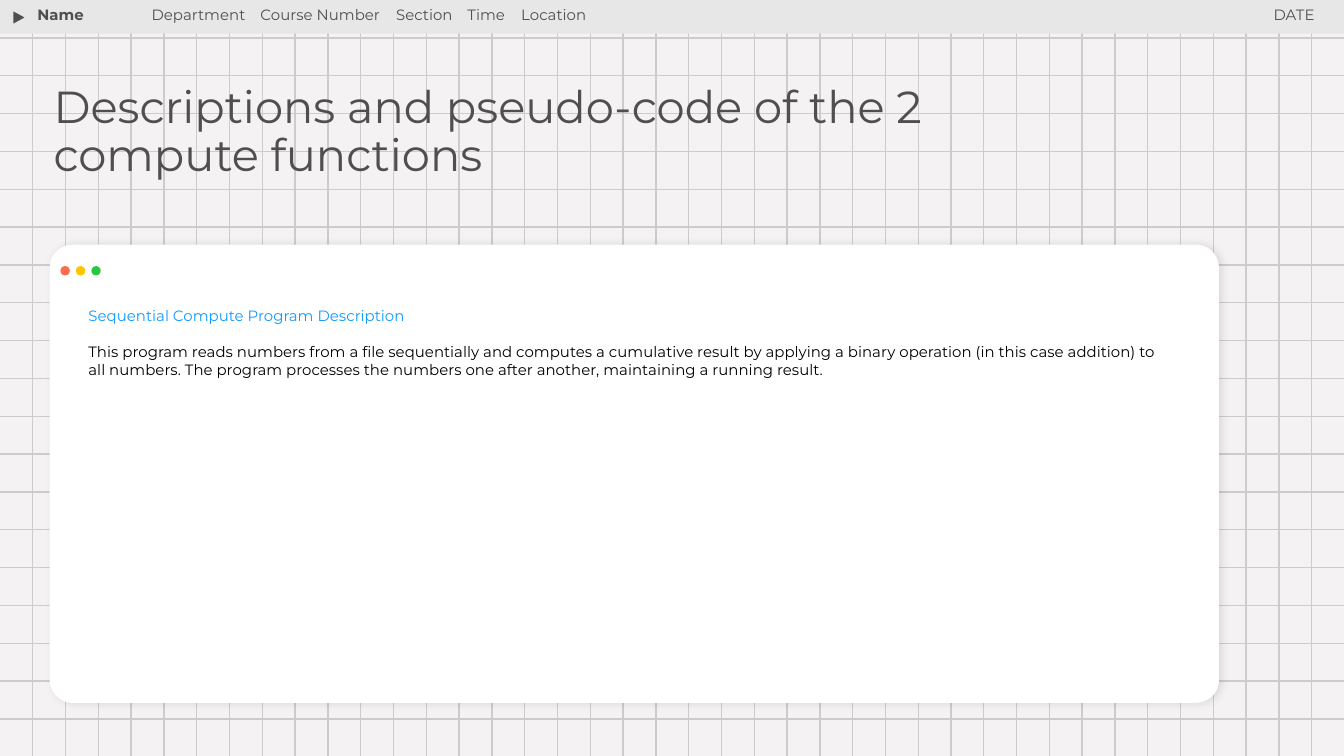
from dataclasses import dataclass

from lxml import etree
from pptx import Presentation, util as u
from pptx.dml.color import RGBColor
from pptx.enum import shapes, text
from pptx.oxml import ns
from pptx.shapes.autoshape import Shape
from pptx.slide import Slide

PAPER = RGBColor(0xF4, 0xF2, 0xF2)
GRID = RGBColor(0xCC, 0xCC, 0xCC)
BAR = RGBColor(0xE7, 0xE7, 0xE7)
INK = RGBColor(0x4F, 0x4F, 0x4F)
WHITE = RGBColor(0xFF, 0xFF, 0xFF)
BLACK = RGBColor(0x00, 0x00, 0x00)
BLUE = RGBColor(0x11, 0x9B, 0xFE)
RED = RGBColor(0xFF, 0x6B, 0x4D)
YELLOW = RGBColor(0xFF, 0xC6, 0x00)
GREEN = RGBColor(0x28, 0xC8, 0x40)

FONT = "Montserrat"
WIDTH = 10
HEIGHT = WIDTH * 9 / 16
COLUMNS, LAST_COLUMN = 40, 9.76
ROWS, LAST_ROW = 19, 5.35
HEADER_TOP, HEADER_HEIGHT, HEADER_INSET = -0.04, 0.47, 0.13
HEADER_TABS = (0.81, 1.82, 2.35, 2.75)


@dataclass(frozen=True)
class Area:
    left: float
    top: float
    width: float
    height: float

    def lengths(self) -> list[u.Length]:
        return [u.Inches(side) for side in (self.left, self.top, self.width, self.height)]


@dataclass(frozen=True)
class Line:
    words: str
    color: RGBColor = INK
    size: float = 8
    bold: bool = False
    align: text.PP_ALIGN = text.PP_ALIGN.LEFT
    spacing: float = 1.0
    after: float = 0
    tabs: tuple[float, ...] = ()


def add_grid_line(page: Slide, left: float, top: float, right: float, bottom: float) -> None:
    ends = [u.Inches(end) for end in (left, top, right, bottom)]
    rule = page.shapes.add_connector(shapes.MSO_CONNECTOR.STRAIGHT, *ends)
    rule.line.color.rgb = GRID
    rule.line.width = u.Pt(0.75)
    etree.SubElement(rule.line._get_or_add_ln().getparent(), ns.qn("a:effectLst"))


def add_grid(page: Slide) -> None:
    for row in range(ROWS, 0, -1):
        y = row * LAST_ROW / ROWS
        add_grid_line(page, 0, y, WIDTH, y)
    for column in range(COLUMNS, 0, -1):
        x = column * LAST_COLUMN / COLUMNS
        add_grid_line(page, x, 0, x, HEIGHT)


def add_filled(page: Slide, kind: shapes.MSO_SHAPE, area: Area, color: RGBColor) -> Shape:
    shape = page.shapes.add_shape(kind, *area.lengths())
    shape.shadow.inherit = False
    shape.fill.solid()
    shape.fill.fore_color.rgb = color
    shape.line.fill.background()
    return shape


def add_soft_shadow(shape: Shape) -> None:
    effects = shape.element.spPr.find(ns.qn("a:effectLst"))
    shadow = etree.SubElement(
        effects, ns.qn("a:outerShdw"), blurRad=str(u.Pt(4.5)), dist=str(u.Pt(1.5)), dir="0"
    )
    color = etree.SubElement(shadow, ns.qn("a:srgbClr"), val=str(BLACK))
    etree.SubElement(color, ns.qn("a:alpha"), val="10000")


def add_window(page: Slide) -> None:
    card = add_filled(
        page, shapes.MSO_SHAPE.ROUNDED_RECTANGLE, Area(0.37, 1.82, 8.7, 3.41), WHITE
    )
    card.adjustments[0] = 0.05
    add_soft_shadow(card)
    for index, color in enumerate((RED, YELLOW, GREEN)):
        dot = Area(0.45 + index * 0.115, 1.98, 0.07, 0.07)
        add_filled(page, shapes.MSO_SHAPE.OVAL, dot, color)


def add_text(page: Slide, area: Area, *lines: Line, inset: float = 0.1) -> None:
    box = page.shapes.add_textbox(*area.lengths())
    frame = box.text_frame
    frame.word_wrap = True
    frame.margin_left = frame.margin_right = frame.margin_bottom = u.Inches(0.1)
    frame.margin_top = u.Inches(inset)
    for index, line in enumerate(lines):
        para = frame.add_paragraph() if index else frame.paragraphs[0]
        para.alignment = line.align
        para.line_spacing = line.spacing
        para.space_after = u.Pt(line.after)
        if line.tabs:
            stops = etree.SubElement(para._p.get_or_add_pPr(), ns.qn("a:tabLst"))
            for stop in line.tabs:
                etree.SubElement(stops, ns.qn("a:tab"), pos=str(u.Inches(stop)), algn="l")
        span = para.add_run()
        span.text = line.words
        span.font.name = FONT
        span.font.size = u.Pt(line.size)
        span.font.bold = line.bold
        span.font.color.rgb = line.color


def add_header_bar(page: Slide) -> None:
    add_filled(page, shapes.MSO_SHAPE.RECTANGLE, Area(0, 0, WIDTH, 0.25), BAR)
    marker = add_filled(
        page, shapes.MSO_SHAPE.ISOSCELES_TRIANGLE, Area(0.09, 0.08, 0.11, 0.1), INK
    )
    marker.rotation = 90
    marker.line.color.rgb = BAR
    marker.line.width = u.Pt(0.75)


def add_header_text(page: Slide) -> None:
    details = "\t".join(("Department", "Course Number", "Section", "Time", "Location"))
    for left, width, line in (
        (0.18, 1.28, Line("Name", bold=True)),
        (1.03, 4.17, Line(details, tabs=HEADER_TABS)),
        (8.21, 1.67, Line("DATE", align=text.PP_ALIGN.RIGHT)),
    ):
        area = Area(left, HEADER_TOP, width, HEADER_HEIGHT)
        add_text(page, area, line, inset=HEADER_INSET)


def main() -> None:
    deck = Presentation()
    deck.slide_width = u.Inches(WIDTH)
    deck.slide_height = u.Inches(HEIGHT)
    page = deck.slides.add_slide(deck.slide_layouts[6])
    page.background.fill.solid()
    page.background.fill.fore_color.rgb = PAPER

    add_grid(page)
    add_header_bar(page)
    add_window(page)
    add_header_text(page)
    add_text(
        page,
        Area(0.56, 2.18, 8.17, 1.62),
        Line("Sequential Compute Program Description", BLUE, after=9.75),
        Line(
            "This program reads numbers from a file sequentially and computes a cumulative "
            "result by applying a binary operation (in this case addition) to all numbers. "
            "The program processes the numbers one after another, maintaining a running result.",
            BLACK,
        ),
    )
    add_text(
        page,
        Area(0.3, 0.53, 7.99, 1.66),
        Line("Descriptions and pseudo-code of the 2 compute functions", size=24, spacing=0.9),
    )
    deck.save("out.pptx")


if __name__ == "__main__":
    main()
